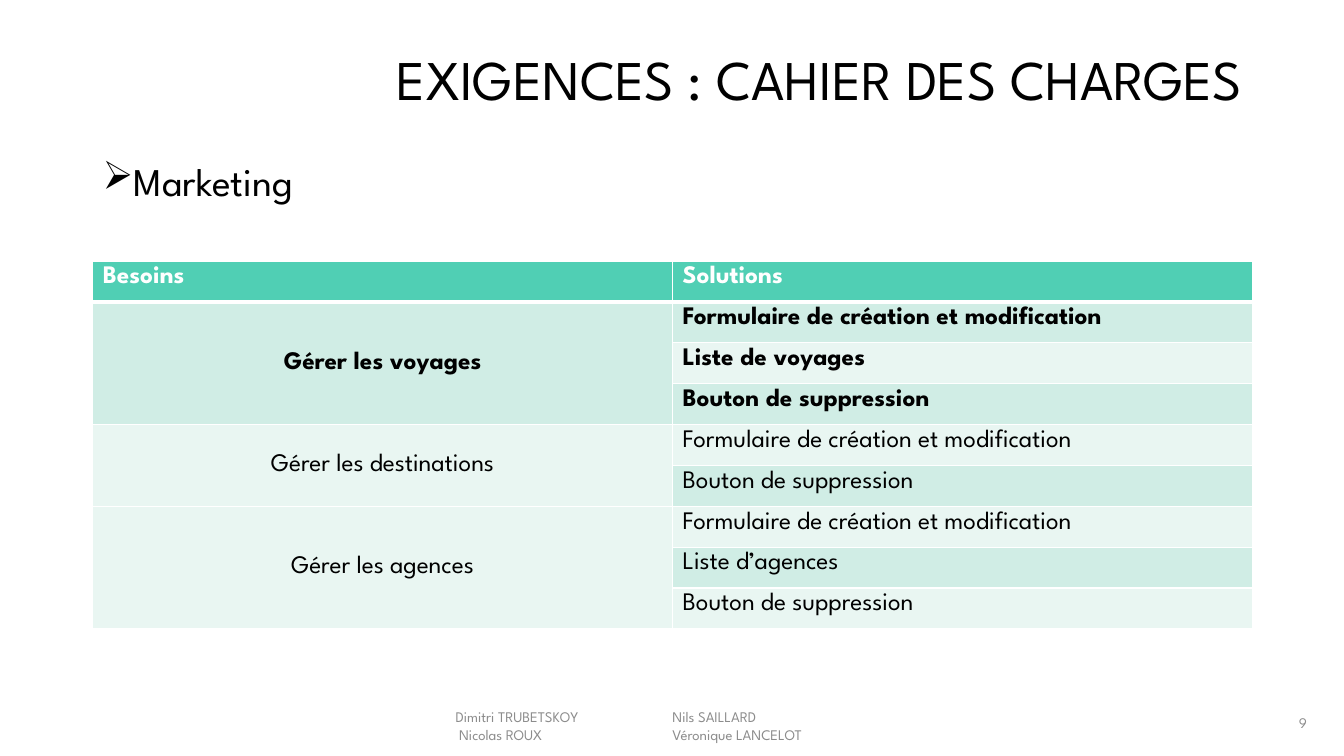
import pptx
import pptx.dml.color
import pptx.enum.text
import pptx.oxml
import pptx.oxml.ns
import pptx.util

Inches, Pt = pptx.util.Inches, pptx.util.Pt
RGBColor = pptx.dml.color.RGBColor
PP_ALIGN, MSO_ANCHOR = pptx.enum.text.PP_ALIGN, pptx.enum.text.MSO_ANCHOR
qn = pptx.oxml.ns.qn

FONT = "League Spartan"
BLACK = RGBColor(0x00, 0x00, 0x00)
WHITE = RGBColor(0xFF, 0xFF, 0xFF)
GREY = RGBColor(0x8C, 0x8C, 0x8C)
HEADER = RGBColor(0x50, 0xCF, 0xB4)
BAND_DARK = RGBColor(0xD0, 0xED, 0xE5)
BAND_LIGHT = RGBColor(0xE9, 0xF6, 0xF2)

NEEDS = [
    ("Gérer les voyages", True,
     ["Formulaire de création et modification", "Liste de voyages", "Bouton de suppression"]),
    ("Gérer les destinations", False,
     ["Formulaire de création et modification", "Bouton de suppression"]),
    ("Gérer les agences", False,
     ["Formulaire de création et modification", "Liste d’agences", "Bouton de suppression"]),
]


def add_text(box, lines, size, color, align=PP_ALIGN.LEFT, anchor=MSO_ANCHOR.MIDDLE):
    tf = s.shapes.add_textbox(*(Inches(v) for v in box)).text_frame
    tf.word_wrap = True
    tf.vertical_anchor = anchor
    tf.text = "\n".join(lines)
    for p in tf.paragraphs:
        p.alignment = align
        p.font.name, p.font.size, p.font.color.rgb = FONT, Pt(size), color
    return tf


def fill_cell(cell, text, color, fill, bold, align=PP_ALIGN.LEFT, anchor=MSO_ANCHOR.TOP):
    cell.fill.solid()
    cell.fill.fore_color.rgb = fill
    cell.vertical_anchor = anchor
    cell.text = text
    p = cell.text_frame.paragraphs[0]
    p.alignment = align
    p.font.name, p.font.size, p.font.bold, p.font.color.rgb = FONT, Pt(18), bold, color


prs = pptx.Presentation()
prs.slide_width, prs.slide_height = Inches(13.33), Inches(7.5)
s = prs.slides.add_slide(prs.slide_layouts[6])

# Title and subject
tf = add_text((0.92, 0.33, 11.5, 0.98), ["EXIGENCES : CAHIER DES CHARGES"], 40, BLACK,
              PP_ALIGN.RIGHT)
tf.paragraphs[0].line_spacing = 0.9

tf = add_text((0.92, 1.51, 7.77, 0.57), ["Marketing"], 28, BLACK, anchor=MSO_ANCHOR.TOP)
pPr = tf.paragraphs[0]._p.get_or_add_pPr()
pPr.set("marL", str(Inches(0.31)))
pPr.set("indent", str(-Inches(0.31)))
bullet = pptx.oxml.parse_xml(
    f'<a:buChar {pptx.oxml.ns.nsdecls("a")} char="➢"/>')
pPr.insert_element_before(bullet, "a:tabLst", "a:defRPr", "a:extLst")

# Table of needs and solutions
row_count = 1 + sum(len(solutions) for _, _, solutions in NEEDS)
table = s.shapes.add_table(row_count, 2, Inches(0.92), Inches(2.59),
                           Inches(11.5), Inches(3.65)).table

for row in range(row_count):
    for cell in table.rows[row].cells:
        tcPr = cell._tc.get_or_add_tcPr()
        widths = {"lnL": 1, "lnR": 1, "lnT": 3 if row == 1 else 1, "lnB": 3 if row == 0 else 1}
        for side, width in widths.items():
            tcPr.append(pptx.oxml.parse_xml(
                f'<a:{side} {pptx.oxml.ns.nsdecls("a")} w="{Pt(width)}"><a:solidFill>'
                f'<a:srgbClr val="{WHITE}"/></a:solidFill></a:{side}>'))

for col, heading in enumerate(["Besoins", "Solutions"]):
    fill_cell(table.cell(0, col), heading, WHITE, HEADER, True)

row = 1
for need, bold, solutions in NEEDS:
    first = row
    for solution in solutions:
        band = BAND_DARK if row % 2 else BAND_LIGHT
        fill_cell(table.cell(row, 1), solution, BLACK, band, bold)
        row += 1
    table.cell(first, 0).merge(table.cell(row - 1, 0))
    fill_cell(table.cell(first, 0), need, BLACK, BAND_DARK if first % 2 else BAND_LIGHT,
              bold, PP_ALIGN.CENTER, MSO_ANCHOR.MIDDLE)

# Footer: authors in two columns, page number
tf = add_text((4.42, 6.9, 4.5, 0.6),
              ["Dimitri TRUBETSKOY", " Nicolas ROUX", "Nils SAILLARD", "Véronique LANCELOT"],
              10.5, GREY)
tf._txBody.find(qn("a:bodyPr")).set("numCol", "2")
add_text((10.06, 6.97, 3, 0.4), ["9"], 10.5, GREY, PP_ALIGN.RIGHT)

prs.save("out.pptx")
